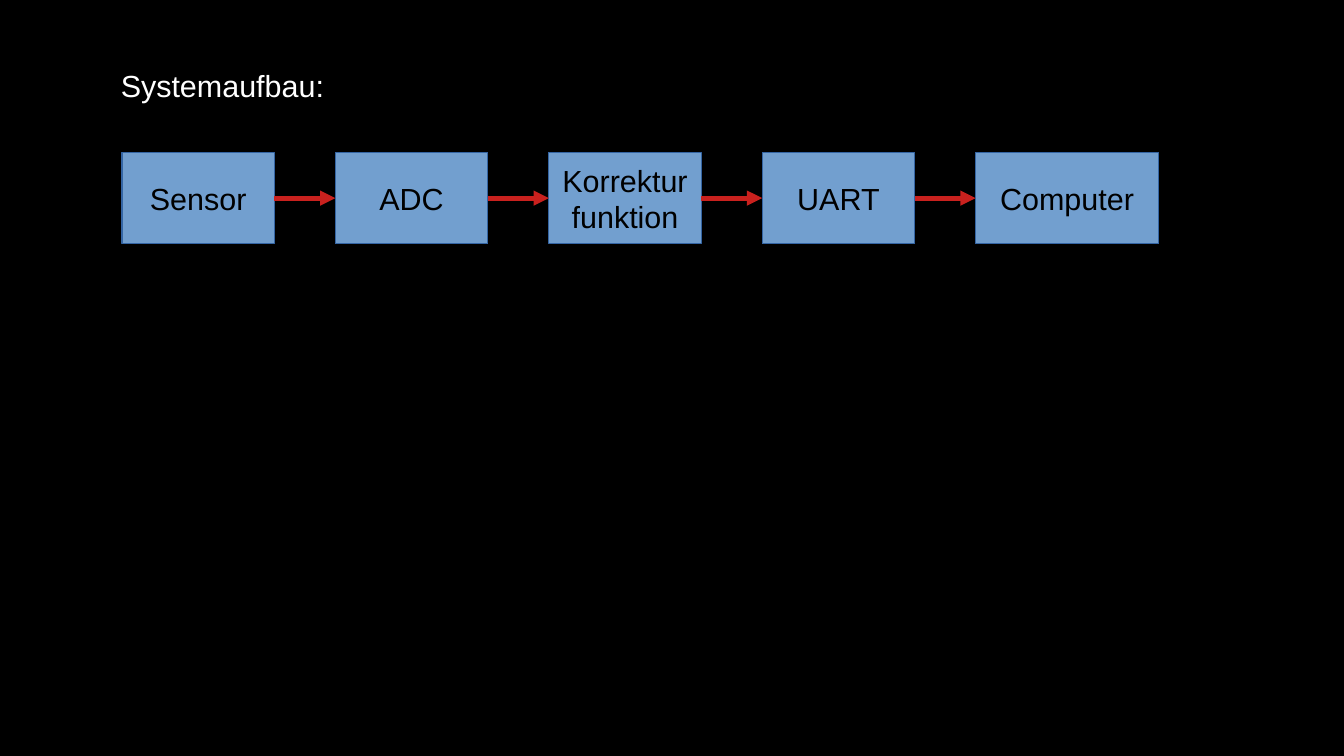
import dataclasses

import lxml.etree
import pptx
import pptx.dml.color
import pptx.enum.shapes
import pptx.enum.text
import pptx.oxml.ns
import pptx.shapes.autoshape
import pptx.slide
import pptx.text.text
import pptx.util

Inches = pptx.util.Inches
Align = pptx.enum.text.PP_ALIGN
Anchor = pptx.enum.text.MSO_ANCHOR
Box = pptx.shapes.autoshape.Shape

LEFT, TOP, STEP, HEIGHT = 1, 1.25, 1.75, 0.75


@dataclasses.dataclass
class Stage:
    label: str
    width: float = 1.25


STAGES = [
    Stage("Sensor"),
    Stage("ADC"),
    Stage("Korrekturfunktion"),
    Stage("UART"),
    Stage("Computer", 1.5),
]


def paint(color: pptx.dml.color.ColorFormat, value: str) -> None:
    color.rgb = pptx.dml.color.RGBColor.from_string(value)


def write(frame: pptx.text.text.TextFrame, text: str, color: str,
          align: Align, anchor: Anchor) -> None:
    frame.vertical_anchor = anchor
    frame.margin_left = frame.margin_right = Inches(0.1)
    frame.margin_top = frame.margin_bottom = Inches(0.05)
    line = frame.paragraphs[0]
    line.alignment = align
    run = line.add_run()
    run.text = text
    run.font.name = "Arial"
    run.font.size = pptx.util.Pt(18)
    paint(run.font.color, color)


def draw_title(slide: pptx.slide.Slide, text: str) -> None:
    title = slide.shapes.title
    title.left, title.top = Inches(0.89), Inches(0.5)
    title.width, title.height = Inches(1.87), Inches(0.38)
    frame = title.text_frame
    frame.word_wrap = False
    frame.auto_size = pptx.enum.text.MSO_AUTO_SIZE.SHAPE_TO_FIT_TEXT
    write(frame, text, "FFFFFF", Align.LEFT, Anchor.TOP)


def draw_stage(slide: pptx.slide.Slide, stage: Stage, left: float) -> Box:
    box = slide.shapes.add_shape(
        pptx.enum.shapes.MSO_SHAPE.RECTANGLE,
        Inches(left), Inches(TOP), Inches(stage.width), Inches(HEIGHT))
    box.shadow.inherit = False
    box.fill.solid()
    paint(box.fill.fore_color, "729FCF")
    paint(box.line.color, "3465A4")
    box.line.width = pptx.util.Pt(0)
    box.text_frame.word_wrap = True
    write(box.text_frame, stage.label, "000000", Align.CENTER, Anchor.MIDDLE)
    return box


def draw_arrow(slide: pptx.slide.Slide, start: Box, end: Box) -> None:
    arrow = slide.shapes.add_connector(
        pptx.enum.shapes.MSO_CONNECTOR.STRAIGHT, 0, 0, 0, 0)
    arrow.begin_connect(start, 3)
    arrow.end_connect(end, 1)
    paint(arrow.line.color, "C9211E")
    arrow.line.width = pptx.util.Pt(3)
    qn = pptx.oxml.ns.qn
    props = arrow.element.spPr
    lxml.etree.SubElement(props.find(qn("a:ln")), qn("a:tailEnd"),
                          type="triangle")
    lxml.etree.SubElement(props, qn("a:effectLst"))


def main() -> None:
    deck = pptx.Presentation()
    deck.slide_width, deck.slide_height = Inches(11.02), Inches(6.2)
    slide = deck.slides.add_slide(deck.slide_layouts[5])
    slide.background.fill.solid()
    paint(slide.background.fill.fore_color, "000000")
    draw_title(slide, "Systemaufbau:")
    boxes = [draw_stage(slide, stage, LEFT + i * STEP)
             for i, stage in enumerate(STAGES)]
    for start, end in zip(boxes, boxes[1:]):
        draw_arrow(slide, start, end)
    deck.save("out.pptx")


if __name__ == "__main__":
    main()
